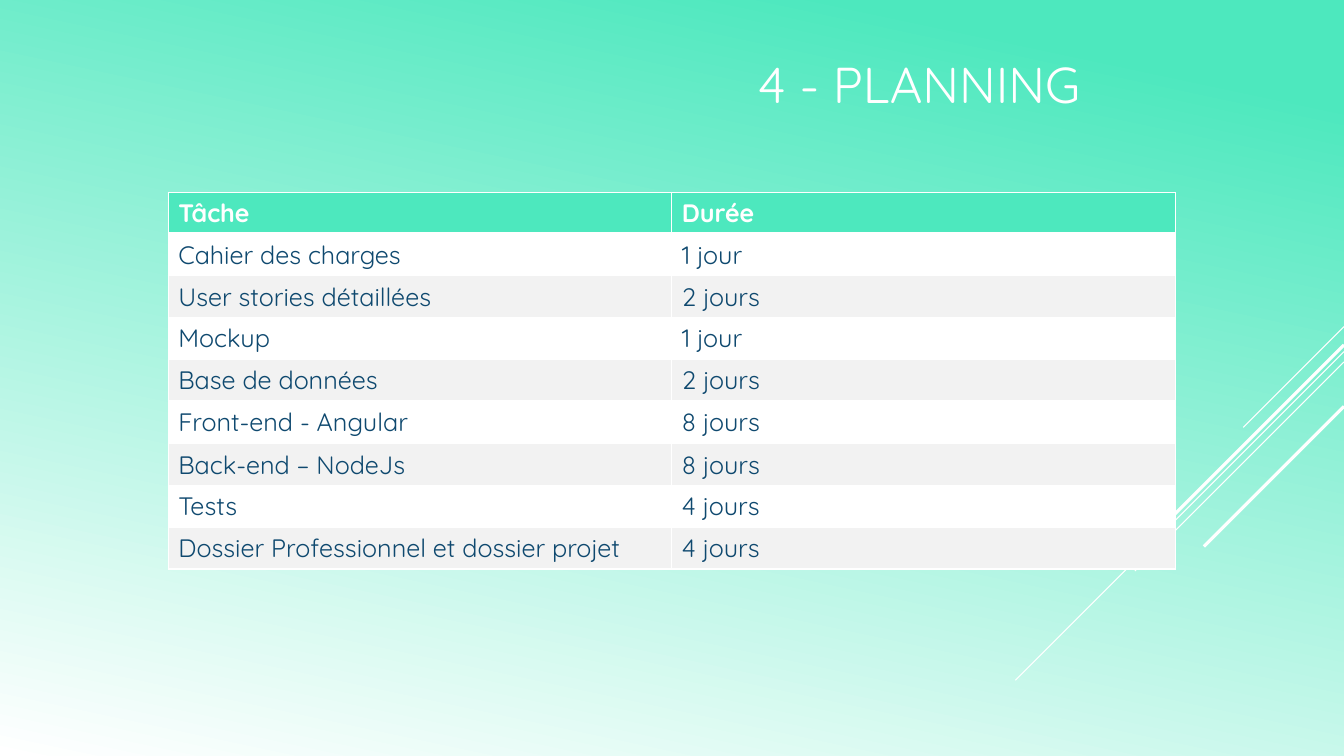
from lxml.etree import SubElement
from pptx import Presentation
from pptx.dml.color import RGBColor
from pptx.enum.shapes import MSO_CONNECTOR
from pptx.enum.text import MSO_ANCHOR
from pptx.oxml.ns import qn
from pptx.util import Cm, Pt

FONT = "Quicksand"
WHITE, MINT, NAVY, GREY = "FFFFFF", "4DE8BE", "0F496F", "F2F2F2"
SLIDE_WIDTH, SLIDE_HEIGHT = 33.87, 19.05
ROW_HEIGHT, TALL_ROW_HEIGHT, COLUMN_WIDTH = 1.04, 1.08, 12.69
TALL_TASK = "Front-end - Angular"

PLANNING = [
    ("Tâche", "Durée"),
    ("Cahier des charges", "1 jour"),
    ("User stories détaillées", "2 jours"),
    ("Mockup", "1 jour"),
    ("Base de données", "2 jours"),
    (TALL_TASK, "8 jours"),
    ("Back-end – NodeJs", "8 jours"),
    ("Tests", "4 jours"),
    ("Dossier Professionnel et dossier projet", "4 jours"),
]

# Each diagonal: height on the right edge, horizontal reach, line weight.
DIAGONALS = [
    (8.23, 2.54, 0.75),
    (8.86, 8.28, 0.75),
    (9.12, 5.27, 0.75),
    (8.69, 4.85, 2.25),
    (10.24, 3.53, 2.25),
]


def color(hex_value):
    """Return the RGB color for a hex string."""
    return RGBColor.from_string(hex_value)


def write_text(text_frame, text, size=18, hex_color=NAVY, bold=False):
    """Write one formatted run into the first paragraph of a text frame."""
    run = text_frame.paragraphs[0].add_run()
    run.text = text
    run.font.name = FONT
    run.font.size = Pt(size)
    run.font.bold = bold
    run.font.color.rgb = color(hex_color)


def paint_background(slide):
    """Fill the slide with a gradient from mint to white."""
    fill = slide.background.fill
    fill.gradient()
    fill.gradient_angle = 258
    for stop, position, hex_color in zip(fill.gradient_stops, (0.1, 1), (MINT, WHITE)):
        stop.position = position
        stop.color.rgb = color(hex_color)


def add_diagonal(slide, top, reach, weight):
    """Draw a white 45 degree line down and left from the right edge."""
    line = slide.shapes.add_connector(
        MSO_CONNECTOR.STRAIGHT,
        Cm(SLIDE_WIDTH), Cm(top), Cm(SLIDE_WIDTH - reach), Cm(top + reach),
    )
    line.line.color.rgb = color(WHITE)
    line.line.width = Pt(weight)
    SubElement(line._element.spPr, qn("a:effectLst"))


def add_title(slide, text):
    """Add the slide title, centred vertically in its box."""
    title = slide.shapes.add_textbox(Cm(18.85), Cm(0), Cm(15.02), Cm(4.19))
    title.text_frame.word_wrap = True
    title.text_frame.vertical_anchor = MSO_ANCHOR.MIDDLE
    write_text(title.text_frame, text, size=36, hex_color=WHITE)


def set_borders(cell, bottom_weight):
    """Give a cell white borders, with its own weight at the bottom."""
    properties = cell._tc.get_or_add_tcPr()
    for index, side in enumerate("LRTB"):
        weight = bottom_weight if side == "B" else 1
        border = SubElement(properties, qn(f"a:ln{side}"), w=str(Pt(weight)))
        fill = SubElement(border, qn("a:solidFill"))
        SubElement(fill, qn("a:srgbClr"), val=WHITE)
        properties.insert(index, border)


def format_cell(cell, text, row_index):
    """Fill, border and write a cell according to its row."""
    is_header = row_index == 0
    band = WHITE if row_index % 2 else GREY
    set_borders(cell, 3 if is_header else 1)
    cell.fill.solid()
    cell.fill.fore_color.rgb = color(MINT if is_header else band)
    write_text(cell.text_frame, text, hex_color=WHITE if is_header else NAVY, bold=is_header)


def add_planning_table(slide, rows):
    """Add the table of tasks and durations."""
    column_count = len(rows[0])
    table = slide.shapes.add_table(
        len(rows), column_count, Cm(4.24), Cm(4.85),
        Cm(COLUMN_WIDTH * column_count), Cm(ROW_HEIGHT * len(rows)),
    ).table
    table.horz_banding = False
    for column in table.columns:
        column.width = Cm(COLUMN_WIDTH)
    for row_index, values in enumerate(rows):
        height = TALL_ROW_HEIGHT if values[0] == TALL_TASK else ROW_HEIGHT
        table.rows[row_index].height = Cm(height)
        for column_index, text in enumerate(values):
            format_cell(table.cell(row_index, column_index), text, row_index)


def main():
    """Build and save the planning slide."""
    presentation = Presentation()
    presentation.slide_width = Cm(SLIDE_WIDTH)
    presentation.slide_height = Cm(SLIDE_HEIGHT)
    slide = presentation.slides.add_slide(presentation.slide_layouts[6])
    paint_background(slide)
    for top, reach, weight in DIAGONALS:
        add_diagonal(slide, top, reach, weight)
    add_planning_table(slide, PLANNING)
    add_title(slide, "4 - PLANNING")
    presentation.save("out.pptx")


main()
